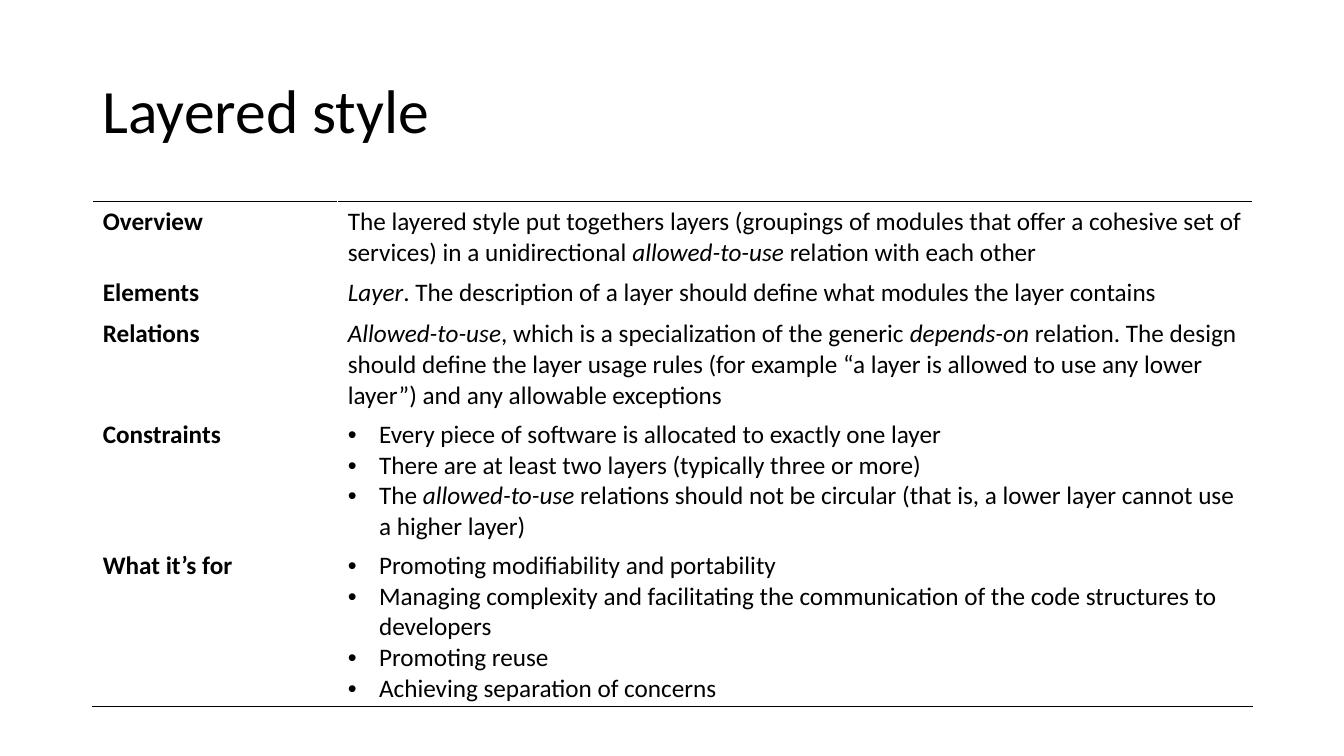
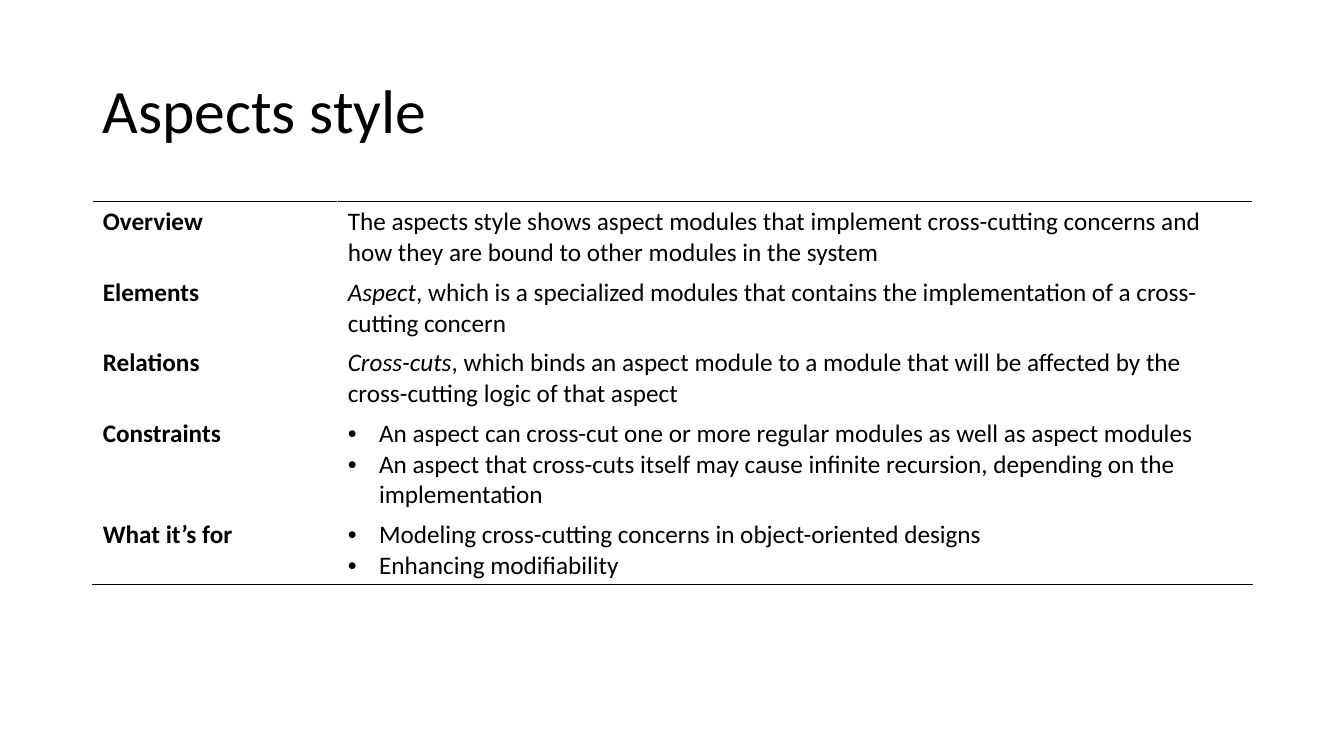
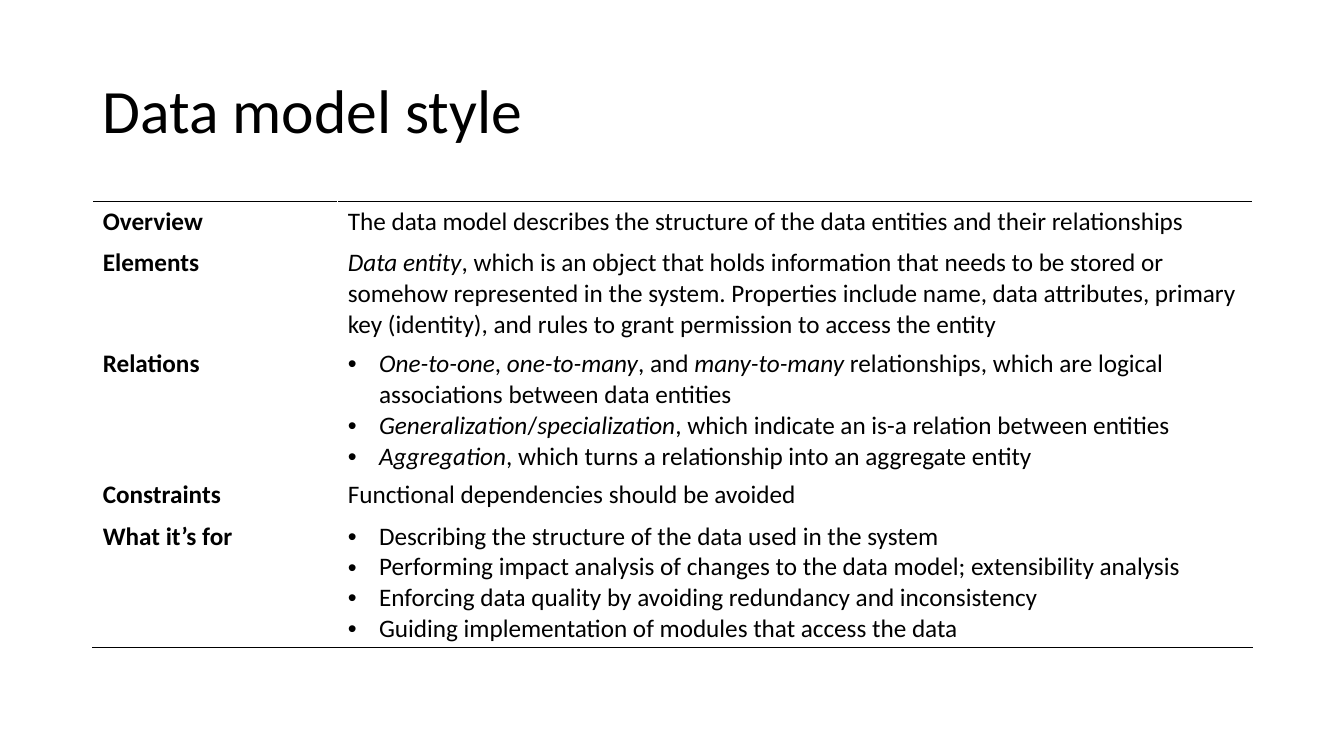
from dataclasses import dataclass
from lxml import etree
from pptx import Presentation
from pptx.dml.color import RGBColor
from pptx.enum.text import MSO_ANCHOR
from pptx.oxml.ns import qn
from pptx.util import Inches, Pt

MIDDLE = MSO_ANCHOR.MIDDLE


@dataclass(frozen=True)
class Theme:
    font: str = "Calibri"
    ink: str = "000000"
    paper: str = "FFFFFF"
    head: int = 44
    body: int = 18
    rule: int = 1
    dent: float = 0.31


THEME = Theme()
WIDE, HIGH = 13.33, 7.5
LEFT, SPAN = 0.92, 11.5
COLS = (2.43, 9.07)
TOP, ROW = 2, 0.41

LABELS = ("Overview", "Elements", "Relations", "Constraints", "What it’s for")

STYLES = {
    "Layered style": (
        "The layered style put togethers layers (groupings of modules that offer "
        "a cohesive set of services) in a unidirectional *allowed-to-use* "
        "relation with each other",
        "*Layer*. The description of a layer should define what modules the "
        "layer contains",
        "*Allowed-to-use*, which is a specialization of the generic *depends-on* "
        "relation. The design should define the layer usage rules (for example "
        "“a layer is allowed to use any lower layer”) and any allowable exceptions",
        [
            "Every piece of software is allocated to exactly one layer",
            "There are at least two layers (typically three or more)",
            "The *allowed-to-use* relations should not be circular (that is, "
            "a lower layer cannot use a higher layer)",
        ],
        [
            "Promoting modifiability and portability",
            "Managing complexity and facilitating the communication of the code "
            "structures to developers",
            "Promoting reuse",
            "Achieving separation of concerns",
        ],
    ),
    "Aspects style": (
        "The aspects style shows aspect modules that implement cross-cutting "
        "concerns and how they are bound to other modules in the system",
        "*Aspect*, which is a specialized modules that contains the "
        "implementation of a cross-cutting concern",
        "*Cross-cuts*, which binds an aspect module to a module that will be "
        "affected by the cross-cutting logic of that aspect",
        [
            "An aspect can cross-cut one or more regular modules as well as "
            "aspect modules",
            "An aspect that cross-cuts itself may cause infinite recursion, "
            "depending on the implementation",
        ],
        [
            "Modeling cross-cutting concerns in object-oriented designs",
            "Enhancing modifiability",
        ],
    ),
    "Data model style": (
        "The data model describes the structure of the data entities and their "
        "relationships",
        "*Data entity*, which is an object that holds information that needs to "
        "be stored or somehow represented in the system. Properties include "
        "name, data attributes, primary key (identity), and rules to grant "
        "permission to access the entity",
        [
            "*One-to-one*, *one-to-many*, and *many-to-many *relationships, "
            "which are logical associations between data entities",
            "*Generalization*/*specialization*, which indicate an is-a relation "
            "between entities",
            "*Aggregation*, which turns a relationship into an aggregate entity",
        ],
        "Functional dependencies should be avoided",
        [
            "Describing the structure of the data used in the system",
            "Performing impact analysis of changes to the data model; "
            "extensibility analysis",
            "Enforcing data quality by avoiding redundancy and inconsistency",
            "Guiding implementation of modules that access the data",
        ],
    ),
}


def add_bullet(para):
    props = para._p.get_or_add_pPr()
    props.set("marL", str(Inches(THEME.dent)))
    props.set("indent", str(-Inches(THEME.dent)))
    etree.SubElement(props, qn("a:buFont"), typeface="Arial")
    etree.SubElement(props, qn("a:buChar"), char="•")


def write(frame, text, size=THEME.body, bold=False, space=None):
    lines = [text] if isinstance(text, str) else text
    for num, line in enumerate(lines):
        para = frame.add_paragraph() if num else frame.paragraphs[0]
        if space:
            para.line_spacing = space
        if lines is text:
            add_bullet(para)
        for part, words in enumerate(line.split("*")):
            if words:
                run = para.add_run()
                run.text = words
                font = run.font
                font.name, font.size = THEME.font, Pt(size)
                font.bold, font.italic = bold, part % 2 == 1
                font.color.rgb = RGBColor.from_string(THEME.ink)


def add_rule(cell, side):
    line = etree.Element(qn(f"a:{side}"), w=str(Pt(THEME.rule)))
    fill = etree.SubElement(line, qn("a:solidFill"))
    etree.SubElement(fill, qn("a:srgbClr"), val=THEME.ink)
    cell._tc.get_or_add_tcPr().insert(0, line)


def add_title(slide, text):
    box = slide.shapes.add_textbox(
        Inches(LEFT), Inches(0.4), Inches(SPAN), Inches(1.45))
    frame = box.text_frame
    frame.word_wrap = True
    frame.vertical_anchor = MIDDLE
    write(frame, text, size=THEME.head, space=0.9)


def add_grid(slide, texts):
    last = len(LABELS) - 1
    table = slide.shapes.add_table(
        len(LABELS), len(COLS), Inches(LEFT), Inches(TOP),
        Inches(SPAN), Inches(ROW * len(LABELS))).table
    table.first_row = table.horz_banding = False
    for col, width in zip(table.columns, COLS):
        col.width = Inches(width)
    for row, pair in enumerate(zip(LABELS, texts)):
        for col, text in enumerate(pair):
            cell = table.cell(row, col)
            cell.fill.solid()
            cell.fill.fore_color.rgb = RGBColor.from_string(THEME.paper)
            write(cell.text_frame, text, bold=col == 0)
            if row == 0:
                add_rule(cell, "lnT")
            if row == last:
                add_rule(cell, "lnB")


def main():
    deck = Presentation()
    deck.slide_width, deck.slide_height = Inches(WIDE), Inches(HIGH)
    for title, texts in STYLES.items():
        slide = deck.slides.add_slide(deck.slide_layouts[6])
        add_title(slide, title)
        add_grid(slide, texts)
    deck.save("out.pptx")


main()
